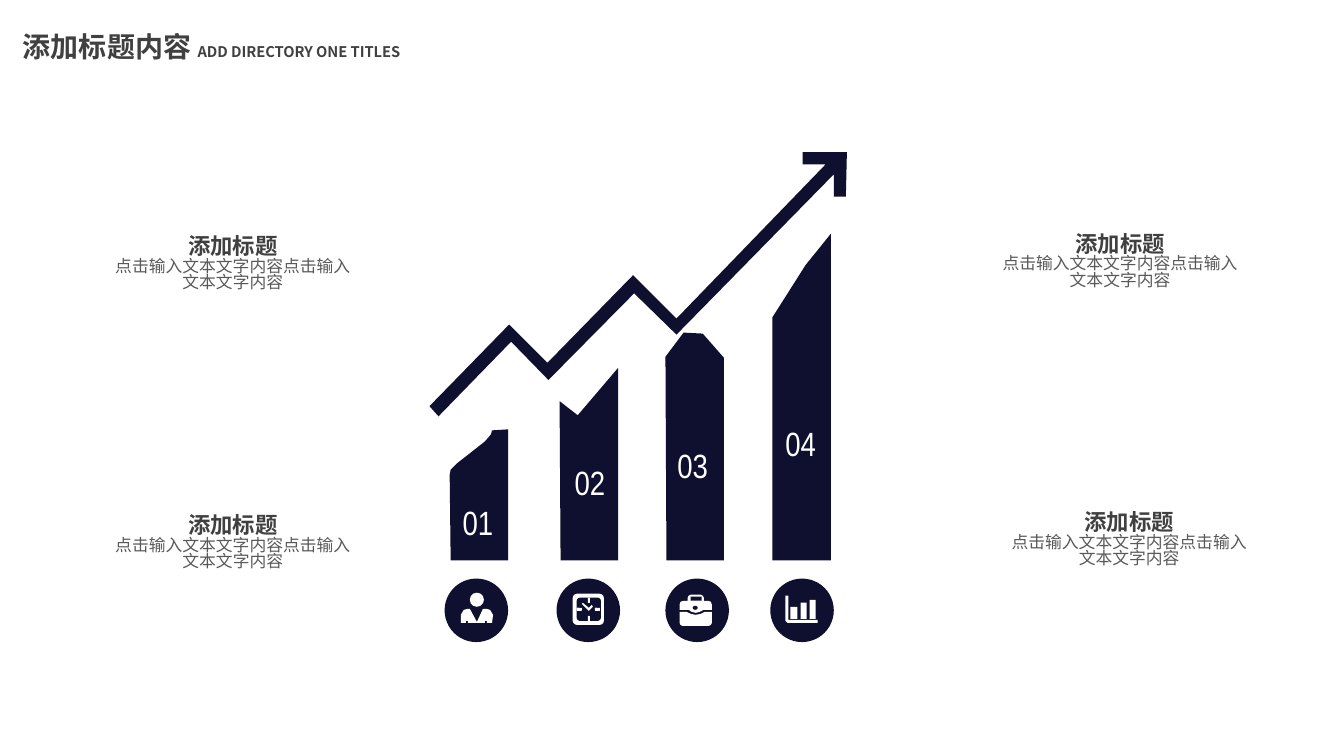
import dataclasses

import lxml.etree
import pptx
import pptx.dml.color
import pptx.enum.shapes
import pptx.enum.text
import pptx.oxml.ns
import pptx.util

PX = 9144
SHAPE = pptx.enum.shapes.MSO_SHAPE


@dataclasses.dataclass(frozen=True)
class Theme:
    navy: str = "0F0F2F"
    white: str = "FFFFFF"
    heading: str = "404040"
    body: str = "595959"
    cjk_font: str = "Noto Sans CJK SC"
    number_font: str = "Arial Narrow"
    title_size: float = 20
    subtitle_size: float = 10.5
    heading_size: float = 16
    body_size: float = 12
    number_size: float = 24
    caption_spacing: float = 0.82


THEME = Theme()


def px(*lengths):
    return [pptx.util.Emu(length * PX) for length in lengths]


def paint(shape, color):
    shape.shadow.inherit = False
    shape.fill.solid()
    shape.fill.fore_color.rgb = pptx.dml.color.RGBColor.from_string(color)
    shape.line.fill.background()


def preset(shapes, kind, origin, box, color):
    left, top, width, height = box
    shape = shapes.add_shape(kind, *px(origin[0] + left, origin[1] + top, width, height))
    paint(shape, color)
    return shape


def outline(shapes, origin, points, color):
    start, *rest = [(origin[0] + x, origin[1] + y) for x, y in points]
    builder = shapes.build_freeform(*start, scale=PX)
    builder.add_line_segments(rest, close=True)
    paint(builder.convert_to_shape(), color)


def style(paragraph, font_name, color, size=None, bold=False):
    paragraph.alignment = pptx.enum.text.PP_ALIGN.CENTER
    font = paragraph.font
    font.bold = bold
    font.color.rgb = pptx.dml.color.RGBColor.from_string(color)
    font.name = font_name
    if size:
        font.size = pptx.util.Pt(size)
    defaults = paragraph._p.pPr.find(pptx.oxml.ns.qn("a:defRPr"))
    east_asian = lxml.etree.SubElement(defaults, pptx.oxml.ns.qn("a:ea"))
    east_asian.set("typeface", font_name)


def set_frame(frame, wrap):
    frame.word_wrap = wrap
    frame.auto_size = pptx.enum.text.MSO_AUTO_SIZE.NONE
    frame.vertical_anchor = pptx.enum.text.MSO_ANCHOR.TOP


def add_title(slide, box):
    title = slide.shapes.title
    title.left, title.top, title.width, title.height = px(*box)
    set_frame(title.text_frame, True)
    paragraph = title.text_frame.paragraphs[0]
    style(paragraph, THEME.cjk_font, THEME.heading, bold=True)
    for wording, size in (("添加标题内容 ", THEME.title_size),
                          ("ADD DIRECTORY ONE TITLES", THEME.subtitle_size)):
        run = paragraph.add_run()
        run.text = wording
        run.font.size = pptx.util.Pt(size)


def add_caption(slide, box):
    frame = slide.shapes.add_textbox(*px(*box)).text_frame
    set_frame(frame, False)
    frame.text = "添加标题\n点击输入文本文字内容点击输入\n文本文字内容"
    heading, *body = frame.paragraphs
    style(heading, THEME.cjk_font, THEME.heading, THEME.heading_size, True)
    for line in body:
        style(line, THEME.cjk_font, THEME.body, THEME.body_size)
    for paragraph in frame.paragraphs:
        paragraph.line_spacing = THEME.caption_spacing


def add_bar(slide, origin, points, number, label_box):
    group = slide.shapes.add_group_shape().shapes
    outline(group, origin, points, THEME.navy)
    left, top, width, height = label_box
    label = group.add_textbox(*px(origin[0] + left, origin[1] + top, width, height))
    set_frame(label.text_frame, True)
    label.text_frame.text = number
    style(label.text_frame.paragraphs[0], THEME.number_font, THEME.white, THEME.number_size)


def person_icon(shapes, origin):
    preset(shapes, SHAPE.OVAL, origin, (25, 14, 14, 14), THEME.white)
    outline(shapes, origin, [
        (16, 44), (16, 36), (19, 31), (23, 30), (25, 30), (32, 43), (38, 30),
        (41, 30), (45, 31), (48, 36), (47, 44), (42, 44), (42, 42), (40, 42),
        (40, 44), (23, 44), (23, 42), (21, 42), (21, 44)], THEME.white)


def clock_icon(shapes, origin):
    for box, color in (((16, 15, 31, 31), THEME.white), ((20, 19, 24, 23), THEME.navy)):
        preset(shapes, SHAPE.ROUNDED_RECTANGLE, origin, box, color).adjustments[0] = 0.14
    for tick in ((31, 19, 2, 5), (31, 37, 2, 5), (20, 29, 5, 3), (38, 29, 5, 3)):
        preset(shapes, SHAPE.ROUNDED_RECTANGLE, origin, tick, THEME.white)
    outline(shapes, origin, [(25, 25), (26, 24), (32, 29), (35, 26), (36, 28),
                             (33, 31), (32, 32), (30, 30)], THEME.white)


def briefcase_icon(shapes, origin):
    outline(shapes, origin, [
        (14, 33), (21, 33), (25, 35), (30, 36), (35, 35), (39, 33), (46, 33),
        (46, 44), (45, 46), (43, 47), (17, 47), (15, 46), (14, 44)], THEME.white)
    outline(shapes, origin, [
        (14, 31), (14, 26), (15, 23), (18, 22), (22, 22), (22, 19), (23, 17),
        (25, 16), (35, 16), (37, 17), (38, 19), (38, 22), (42, 22), (45, 23),
        (46, 26), (46, 31), (38, 31), (34, 33), (30, 34), (26, 33), (23, 31)], THEME.white)
    preset(shapes, SHAPE.RECTANGLE, origin, (25, 18, 11, 4), THEME.navy)
    preset(shapes, SHAPE.OVAL, origin, (27, 27, 5, 4), THEME.navy)


def chart_icon(shapes, origin):
    for left, top, width in ((20, 28, 7), (30, 24, 6), (39, 21, 6)):
        preset(shapes, SHAPE.RECTANGLE, origin, (left, top, width, 40 - top), THEME.white)
    outline(shapes, origin, [(15, 17), (18, 17), (18, 41), (47, 41), (47, 44),
                             (17, 44), (15, 42)], THEME.white)


def add_badge(slide, box, draw_icon):
    group = slide.shapes.add_group_shape().shapes
    preset(group, SHAPE.OVAL, (0, 0), box, THEME.navy)
    draw_icon(group, box[:2])


def add_trend_arrow(slide, origin):
    outline(slide.shapes, origin, [
        (413, 44), (401, 44), (401, 22), (245, 181), (203, 140), (118, 226),
        (81, 188), (9, 262), (0, 252), (79, 171), (117, 209), (202, 122),
        (245, 165), (393, 12), (370, 12), (370, 0), (414, 0)], THEME.navy)


def main():
    deck = pptx.Presentation()
    deck.slide_width, deck.slide_height = px(1333, 750)
    slide = deck.slides.add_slide(deck.slide_layouts[5])
    add_title(slide, (0, 24, 420, 44))

    for left, icon in ((441, person_icon), (552, clock_icon),
                       (660, briefcase_icon), (764, chart_icon)):
        add_badge(slide, (left, 574, 63, 63), icon)

    add_trend_arrow(slide, (426, 151))

    bars = [
        ((446, 426), [(0, 45), (1, 40), (7, 34), (21, 23), (35, 12), (41, 5), (42, 1),
                      (58, 0), (58, 130), (1, 130)], (-17, 67, 90, 55)),
        ((555, 365), [(18, 47), (58, 0), (58, 191), (1, 191), (0, 33)], (-16, 88, 92, 76)),
        ((660, 330), [(18, 0), (37, 1), (58, 25), (58, 226), (1, 226), (0, 24)],
         (-19, 106, 92, 70)),
        ((766, 232), [(33, 31), (58, 0), (58, 324), (0, 324), (0, 83)], (-18, 183, 92, 88)),
    ]
    for index, (origin, points, label_box) in enumerate(bars, 1):
        add_bar(slide, origin, points, f"{index:02}", label_box)

    for left, top in ((103, 230), (103, 507), (983, 228), (992, 504)):
        add_caption(slide, (left, top, 256, 104))

    deck.save("out.pptx")


if __name__ == "__main__":
    main()
